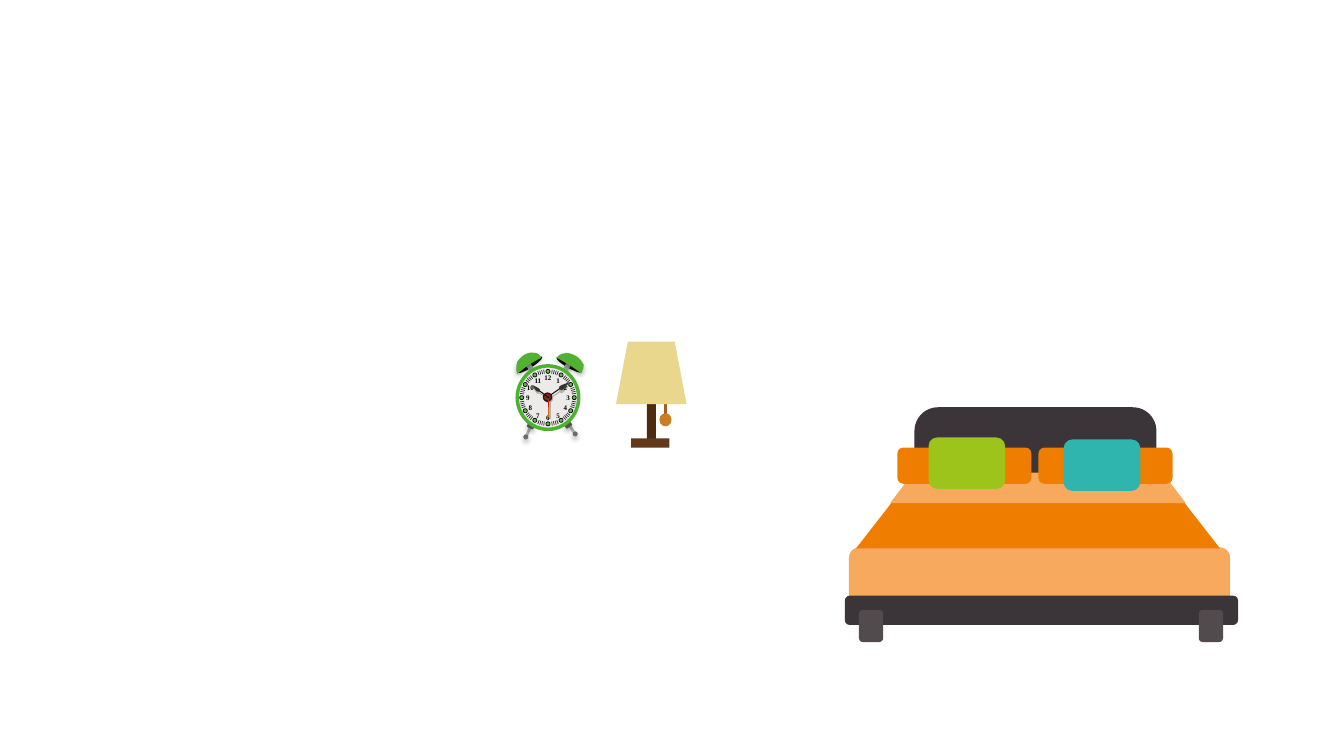
from math import cos, radians, sin

from lxml.etree import SubElement
from pptx import Presentation
from pptx.dml.color import RGBColor
from pptx.enum.shapes import MSO_CONNECTOR, MSO_SHAPE
from pptx.enum.text import MSO_AUTO_SIZE, PP_ALIGN
from pptx.oxml.ns import qn
from pptx.util import Inches, Pt

ROUND, OVAL = MSO_SHAPE.ROUNDED_RECTANGLE, MSO_SHAPE.OVAL
RECT, TRAP = MSO_SHAPE.RECTANGLE, MSO_SHAPE.TRAPEZOID
HUB_X, HUB_Y = 5.435, 3.945
GRAY, INK = "B2B2A8", "131212"


def color(code):
    return RGBColor.from_string(code)


def edge(shape, code, width):
    shape.line.color.rgb = color(code)
    shape.line.width = Pt(width)


def paint(shape, fill, line=None, width=1):
    shape.shadow.inherit = False
    shape.fill.solid()
    shape.fill.fore_color.rgb = color(fill)
    if line:
        edge(shape, line, width)
    else:
        shape.line.fill.background()
    return shape


def cast(shape):
    """Drop a soft shadow straight below the shape."""
    effects = shape._element.spPr.find(qn("a:effectLst"))
    outer = SubElement(effects, qn("a:outerShdw"), blurRad=str(Pt(3.5)),
                       dist=str(Pt(2.2)), dir="5400000", rotWithShape="0")
    black = SubElement(outer, qn("a:srgbClr"), val="000000")
    SubElement(black, qn("a:alpha"), val="32000")


def block(group, kind, box, fill, adjust=None, turn=0, line=None, width=1):
    shape = group.shapes.add_shape(kind, *map(Inches, box))
    if adjust is not None:
        shape.adjustments[0] = adjust
    shape.rotation = turn
    return paint(shape, fill, line, width)


def stroke(group, start, end, code, width):
    line = group.shapes.add_connector(
        MSO_CONNECTOR.STRAIGHT, *map(Inches, (*start, *end)))
    edge(line, code, width)
    SubElement(line._element.spPr, qn("a:effectLst"))


def outline(group, points, close):
    spots = [(Inches(x), Inches(y)) for x, y in points]
    builder = group.shapes.build_freeform(*spots[0])
    builder.add_line_segments(spots[1:], close=close)
    return builder.convert_to_shape()


def curve(group, start, parts, fill, drop=0):
    """Fill an outline; a part of three points is a cubic curve, of one a side."""
    points = [start] + [point for part in parts for point in part]
    shape = outline(group, [(x, y + drop) for x, y in points], True)
    sides = list(shape._element.spPr.iter(qn("a:lnTo")))
    for part in parts:
        first, *rest = sides[:len(part)]
        sides = sides[len(part):]
        if rest:
            first.tag = qn("a:cubicBezTo")
            for side in rest:
                first.append(side[0])
                side.getparent().remove(side)
    return paint(shape, fill)


def polar(angle, radius):
    """Point on the dial, with the angle clockwise from twelve."""
    turn = radians(angle)
    return HUB_X + radius * sin(turn), HUB_Y - radius * cos(turn)


def numeral(group, hour):
    x, y = polar(hour * 30, 0.2)
    wide = 0.27 if hour > 9 else 0.24
    box = group.shapes.add_textbox(*map(Inches, (x - wide / 2, y - 0.09, wide, 0.19)))
    frame = box.text_frame
    frame.word_wrap = False
    frame.auto_size = MSO_AUTO_SIZE.SHAPE_TO_FIT_TEXT
    frame.text = str(hour)
    frame.paragraphs[0].alignment = PP_ALIGN.CENTER
    font = frame.paragraphs[0].runs[0].font
    font.name, font.size, font.bold = "Times New Roman", Pt(5), True
    font.color.rgb = color("000000")


def bed(group):
    block(group, ROUND, (8.42, 5.43, 3.78, 0.62), "F7A95D")
    block(group, ROUND, (8.38, 5.91, 3.9, 0.29), "3B3438")
    for x in (8.52, 11.89):
        block(group, ROUND, (x, 6.05, 0.24, 0.32), "514B4E")
    block(group, TRAP, (8.49, 4.99, 3.61, 0.45), "EF7D00", 0.78)
    block(group, TRAP, (8.83, 4.47, 2.93, 0.52), "F7A95D", 0.76)
    block(group, ROUND, (9.07, 4.04, 2.4, 0.65), "3B3438", 0.36)
    for x, front, top, fill in ((8.9, 9.21, 4.34, "9DC41A"), (10.3, 10.55, 4.36, "30B5AE")):
        block(group, ROUND, (x, 4.44, 1.33, 0.36), "EF7D00")
        block(group, ROUND, (front, top, 0.76, 0.51), fill)


def lamp(group):
    block(group, RECT, (6.27, 4.15, 0.38, 0.09), "4B2C11", turn=90)
    block(group, RECT, (6.26, 4.35, 0.38, 0.09), "623919")
    stroke(group, (6.6, 3.97), (6.6, 4.15), "A55B23", 2)
    block(group, TRAP, (6.11, 3.39, 0.7, 0.62), "E9D78D", 0.19)
    block(group, OVAL, (6.54, 4.1, 0.12, 0.13), "C87F21")


def legs(group):
    for start, end, joint, turn, foot in (
            ((5.63, 4.19), (5.7, 4.3), (5.6, 4.19), 324.4, (5.68, 4.28)),
            ((5.27, 4.21), (5.22, 4.33), (5.23, 4.2), 25.5, (5.19, 4.31))):
        leg = outline(group, (start, end), False)
        leg.shadow.inherit = False
        leg.fill.background()
        edge(leg, "B4B1B5", 2)
        cast(block(group, ROUND, (*joint, 0.07, 0.05), "4C5746", turn=turn))
        cast(block(group, OVAL, (*foot, 0.05, 0.05), "6B6B6B"))


def bells(group):
    right = ((5.52, 3.55), [
        ((5.56, 3.5), (5.6, 3.51), (5.62, 3.5)),
        ((5.67, 3.51), (5.69, 3.52), (5.71, 3.53)),
        ((5.76, 3.56), (5.77, 3.59), (5.79, 3.62)),
        ((5.79, 3.65), (5.78, 3.68), (5.76, 3.7)),
        ((5.68, 3.64), (5.6, 3.59), (5.52, 3.55))])
    left = ((5.13, 3.71), [
        ((5.11, 3.64), (5.13, 3.61), (5.13, 3.59)),
        ((5.16, 3.55), (5.18, 3.53), (5.2, 3.52)),
        ((5.25, 3.49), (5.28, 3.5), (5.31, 3.5)),
        ((5.35, 3.51), (5.36, 3.53), (5.37, 3.55)),
        ((5.28, 3.59), (5.2, 3.65), (5.13, 3.71))])
    for rim, post, turn, dome in ((5.5, 5.59, 30, right), (5.11, 5.24, 327, left)):
        block(group, OVAL, (rim, 3.59, 0.29, 0.06), "0D110A", turn=turn)
        cast(block(group, RECT, (post, 3.59, 0.05, 0.13), "9AA2A4", turn=turn))
        cast(curve(group, *dome, "52B130"))


def dial(group):
    for hour in range(1, 13):
        x, y = polar(hour * 30, 0.26)
        block(group, OVAL, (x - 0.02, y - 0.02, 0.04, 0.04), "67B44D",
              line="000000", width=0.5)
        for mark in range(4):
            angle = hour * 30 + 15 + 4.2 * (mark - 1.5)
            stroke(group, polar(angle, 0.24), polar(angle, 0.28), "2B2C33", 0.5)
        numeral(group, hour)


def long_hand(group, code, tip, drop=0):
    stroke(group, (5.43, 3.94 + drop), (5.56, 3.85 + drop), code, 0.75)
    curve(group, (5.55, 3.86), [
        ((5.54, 3.85), (5.54, 3.83), (5.57, 3.82)),
        ((5.65, 3.79),),
        ((5.63, 3.82), (5.61, 3.83), (5.59, 3.86)),
        ((5.57, 3.87), (5.56, 3.88), (5.55, 3.86))], tip, drop)


def short_hand(group, code, tip, drop=0):
    stroke(group, (5.45, 3.95 + drop), (5.34, 3.87 + drop), code, 0.75)
    curve(group, (5.35, 3.88), [
        ((5.35, 3.89), (5.33, 3.89), (5.32, 3.88)),
        ((5.28, 3.82),),
        ((5.3, 3.83), (5.32, 3.84), (5.34, 3.85)),
        ((5.36, 3.86), (5.36, 3.87), (5.35, 3.88))], tip, drop)


def second_hand(group, x, top, code, tip, width):
    stroke(group, (x, top), (x, top + 0.18), code, width)
    stroke(group, (x, top + 0.08), (x, top + 0.18), tip, width)


def clock(group):
    legs(group)
    bells(group)
    block(group, OVAL, (5.13, 3.63, 0.61, 0.63), "ECEBE9", line="4CB330", width=2.5)
    long_hand(group, GRAY, GRAY, 0.03)
    short_hand(group, GRAY, GRAY, 0.02)
    block(group, OVAL, (5.4, 3.91, 0.08, 0.08), GRAY, line=GRAY)
    second_hand(group, 5.45, 3.98, GRAY, GRAY, 1.5)
    dial(group)
    long_hand(group, INK, "343330")
    block(group, OVAL, (5.39, 3.9, 0.08, 0.08), "CE0918", line="221710")
    block(group, OVAL, (5.41, 3.92, 0.04, 0.04), "5A3910")
    second_hand(group, 5.44, 3.96, "DB1315", "D4610E", 1)
    short_hand(group, INK, "343330")


def main():
    deck = Presentation()
    deck.slide_width, deck.slide_height = Inches(13.33), Inches(7.5)
    slide = deck.slides.add_slide(deck.slide_layouts[6])
    for draw in (bed, lamp, clock):
        draw(slide.shapes.add_group_shape())
    deck.save("out.pptx")


if __name__ == "__main__":
    main()
